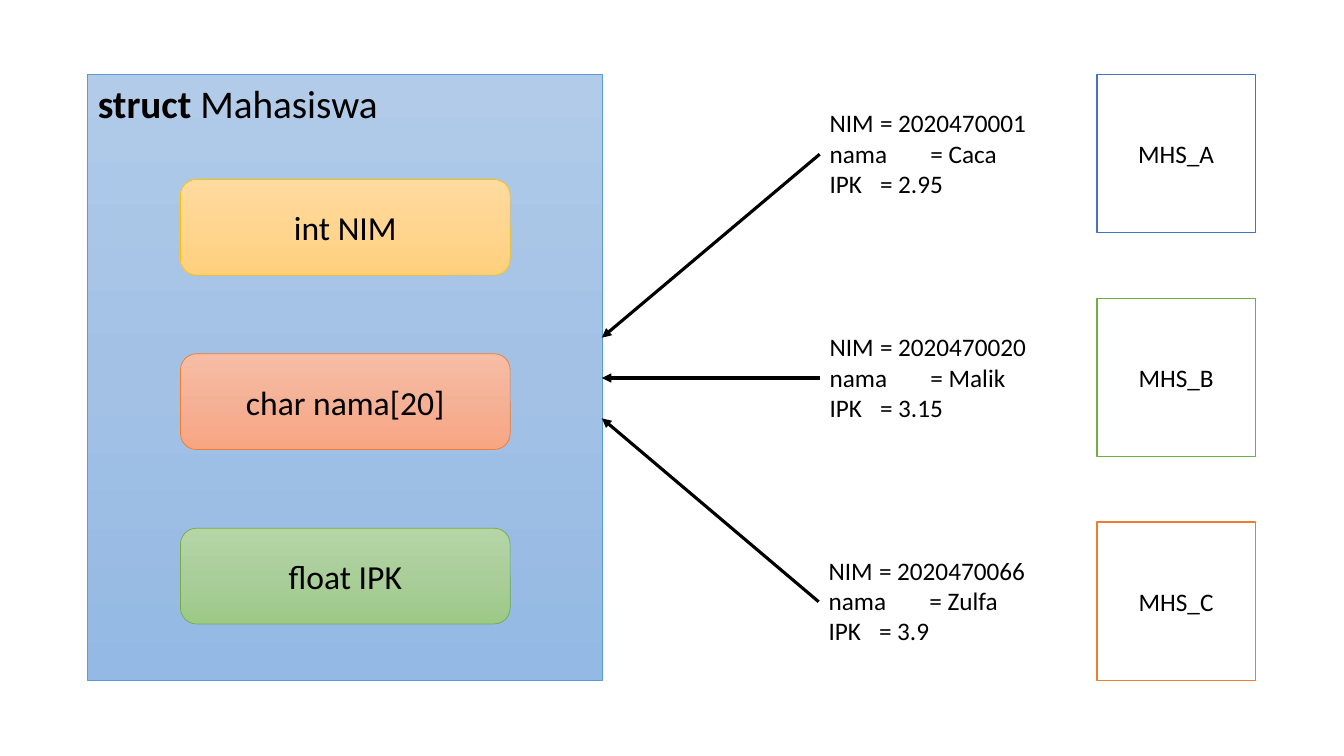
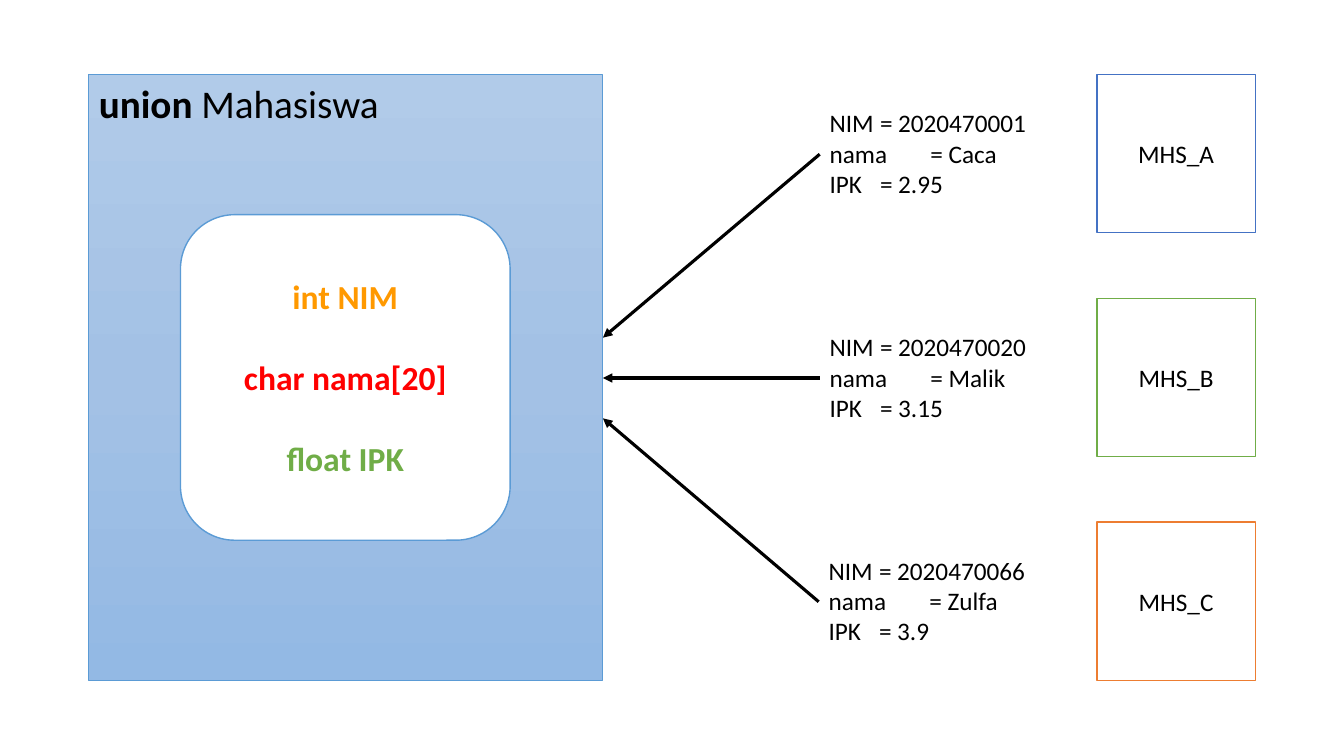
"""Build two slides comparing a struct and a union of student records."""
from copy import deepcopy
from dataclasses import dataclass
from typing import Any, NamedTuple

from lxml.etree import SubElement
from pptx import Presentation
from pptx.dml.color import RGBColor
from pptx.enum.shapes import MSO_CONNECTOR, MSO_SHAPE
from pptx.enum.text import MSO_ANCHOR, MSO_AUTO_SIZE, PP_ALIGN
from pptx.oxml.ns import qn
from pptx.shapes.autoshape import Shape
from pptx.slide import Slide
from pptx.util import Inches, Pt


@dataclass(frozen=True)
class Theme:
    """Colours, font and type sizes shared by the slides."""
    font: str = "Calibri"
    ink: str = "000000"
    paper: str = "FFFFFF"
    blue: str = "5B9BD5"
    indigo: str = "4472C4"
    green: str = "70AD47"
    orange: str = "ED7D31"
    gold: str = "FFC000"
    amber: str = "FF9900"
    red: str = "FF0000"
    blue_fade: tuple[str, ...] = ("B1CBE9", "A3C1E5", "93B9E4")
    gold_fade: tuple[str, ...] = ("FFDB9E", "FFD590", "FFD07C")
    orange_fade: tuple[str, ...] = ("F7BDA5", "F5B196", "F8A582")
    green_fade: tuple[str, ...] = ("B5D5A7", "AACE9A", "9CC987")
    title_size: int = 28
    member_size: int = 24
    record_size: int = 18
    hairline: float = 0.5
    outline: float = 1
    arrow: float = 2.25


class Box(NamedTuple):
    """A rectangle in inches."""
    left: float
    top: float
    width: float
    height: float

    def lengths(self) -> list[int]:
        """Return the four sides as slide lengths."""
        return [Inches(side) for side in self]


class Member(NamedTuple):
    """A member of the data type, with its colours."""
    declaration: str
    fade: tuple[str, ...]
    edge: str
    accent: str


class Student(NamedTuple):
    """A variable holding one student record."""
    variable: str
    nim: str
    nama: str
    ipk: str
    edge: str
    record_left: float


THEME = Theme()
MEMBERS = (
    Member("int NIM", THEME.gold_fade, THEME.gold, THEME.amber),
    Member("char nama[20]", THEME.orange_fade, THEME.orange, THEME.red),
    Member("float IPK", THEME.green_fade, THEME.green, THEME.green),
)
STUDENTS = (
    Student("MHS_A", "2020470001", "Caca", "2.95", THEME.indigo, 8.13),
    Student("MHS_B", "2020470020", "Malik", "3.15", THEME.green, 8.13),
    Student("MHS_C", "2020470066", "Zulfa", "3.9", THEME.orange, 8.12),
)
PANEL_TOP, PANEL_WIDTH, PANEL_HEIGHT = 0.74, 5.1, 6.01
MEMBER_LEFT, MEMBER_WIDTH = 1.79, 3.27
MEMBER_PITCH, STUDENT_PITCH, ARROW_PITCH = 1.73, 2.22, 0.4


def apply(target: Any, values: dict[str, Any]) -> None:
    """Set each named attribute on the target."""
    for name, value in values.items():
        setattr(target, name, value)


def add_run(paragraph: Any, text: str, size: int, colour: str = THEME.ink, bold: bool = False) -> None:
    """Append a formatted run."""
    run = paragraph.add_run()
    run.text = text
    apply(run.font, {"name": THEME.font, "size": Pt(size), "bold": bold})
    run.font.color.rgb = RGBColor.from_string(colour)


def add_block(slide: Slide, kind: MSO_SHAPE, box: Box, fill: str | tuple[str, ...],
              edge: str, weight: float) -> Shape:
    """Draw an outlined block with a solid or faded fill."""
    block = slide.shapes.add_shape(kind, *box.lengths())
    block.shadow.inherit = False
    if isinstance(fill, str):
        block.fill.solid()
        block.fill.fore_color.rgb = RGBColor.from_string(fill)
    else:
        block.fill.gradient()
        block.fill.gradient_angle = 270
        first = block.element.spPr.find(".//" + qn("a:gs"))
        first.addnext(deepcopy(first))
        for index, (stop, colour) in enumerate(zip(block.fill.gradient_stops, fill)):
            stop.position = index / 2
            stop.color.rgb = RGBColor.from_string(colour)
    block.line.color.rgb = RGBColor.from_string(edge)
    block.line.width = Pt(weight)
    apply(block.text_frame, {"word_wrap": True, "vertical_anchor": MSO_ANCHOR.MIDDLE})
    block.text_frame.paragraphs[0].alignment = PP_ALIGN.CENTER
    return block


def add_panel(slide: Slide, keyword: str, left: float) -> None:
    """Draw the blue panel with the slide title on top of it."""
    panel = add_block(slide, MSO_SHAPE.RECTANGLE, Box(left, PANEL_TOP, PANEL_WIDTH, PANEL_HEIGHT),
                      THEME.blue_fade, THEME.blue, THEME.hairline)
    title = slide.shapes.title
    title.element.addprevious(panel.element)
    apply(title, dict(zip(("left", "top", "width", "height"),
                          Box(left, PANEL_TOP, PANEL_WIDTH, 0.57).lengths())))
    apply(title.text_frame, {"word_wrap": True, "vertical_anchor": MSO_ANCHOR.TOP,
                             "auto_size": MSO_AUTO_SIZE.NONE})
    heading = title.text_frame.paragraphs[0]
    apply(heading, {"alignment": PP_ALIGN.LEFT, "line_spacing": 1.0})
    add_run(heading, f"{keyword} ", THEME.title_size, bold=True)
    add_run(heading, "Mahasiswa", THEME.title_size)


def add_struct_members(slide: Slide) -> None:
    """Draw one separate block per member."""
    for index, member in enumerate(MEMBERS):
        box = Box(MEMBER_LEFT, 1.78 + index * MEMBER_PITCH, MEMBER_WIDTH, 0.95)
        block = add_block(slide, MSO_SHAPE.ROUNDED_RECTANGLE, box, member.fade, member.edge, THEME.hairline)
        add_run(block.text_frame.paragraphs[0], member.declaration, THEME.member_size)


def add_union_members(slide: Slide) -> None:
    """Draw one block shared by all members."""
    shared = add_block(slide, MSO_SHAPE.ROUNDED_RECTANGLE, Box(MEMBER_LEFT, 2.13, MEMBER_WIDTH, 3.23),
                       THEME.paper, THEME.blue, THEME.outline)
    frame = shared.text_frame
    for index, member in enumerate(MEMBERS):
        line = frame.add_paragraph() if index else frame.paragraphs[0]
        apply(line, {"alignment": PP_ALIGN.CENTER, "space_before": Pt(29 if index else 0)})
        add_run(line, member.declaration, THEME.member_size, member.accent, bold=True)


def add_arrow(slide: Slide, start: tuple[float, float], end: tuple[float, float]) -> None:
    """Draw an arrow pointing at the end."""
    arrow = slide.shapes.add_connector(MSO_CONNECTOR.STRAIGHT, *map(Inches, start + end))
    arrow.line.color.rgb = RGBColor.from_string(THEME.ink)
    arrow.line.width = Pt(THEME.arrow)
    properties = arrow.element.spPr
    SubElement(properties.find(qn("a:ln")), qn("a:tailEnd"), type="triangle")
    SubElement(properties, qn("a:effectLst"))


def add_students(slide: Slide, panel_right: float) -> None:
    """Draw each variable, its record and its arrow to the panel."""
    for index, student in enumerate(STUDENTS):
        top = PANEL_TOP + index * STUDENT_PITCH
        variable = add_block(slide, MSO_SHAPE.RECTANGLE, Box(10.88, top, 1.57, 1.57),
                             THEME.paper, student.edge, THEME.outline)
        add_run(variable.text_frame.paragraphs[0], student.variable, THEME.record_size)
        record = slide.shapes.add_textbox(*Box(student.record_left, top + 0.28, 2.76, 1.02).lengths())
        record.text_frame.word_wrap = True
        fields = (("NIM", student.nim), ("nama", student.nama), ("IPK", student.ipk))
        for row, (field, value) in enumerate(fields):
            line = record.text_frame.add_paragraph() if row else record.text_frame.paragraphs[0]
            add_run(line, f"{field}\t= {value}", THEME.record_size)
        add_arrow(slide, (student.record_left, top + 0.79), (panel_right, 3.35 + index * ARROW_PITCH))


def main() -> None:
    """Build and save the presentation."""
    deck = Presentation()
    apply(deck, {"slide_width": Inches(13.33), "slide_height": Inches(7.5)})
    title_only = deck.slide_layouts[5]
    for keyword, left, add_members in (("struct", 0.87, add_struct_members),
                                       ("union", 0.88, add_union_members)):
        slide = deck.slides.add_slide(title_only)
        add_panel(slide, keyword, left)
        add_members(slide)
        add_students(slide, left + PANEL_WIDTH)
    deck.save("out.pptx")


main()
